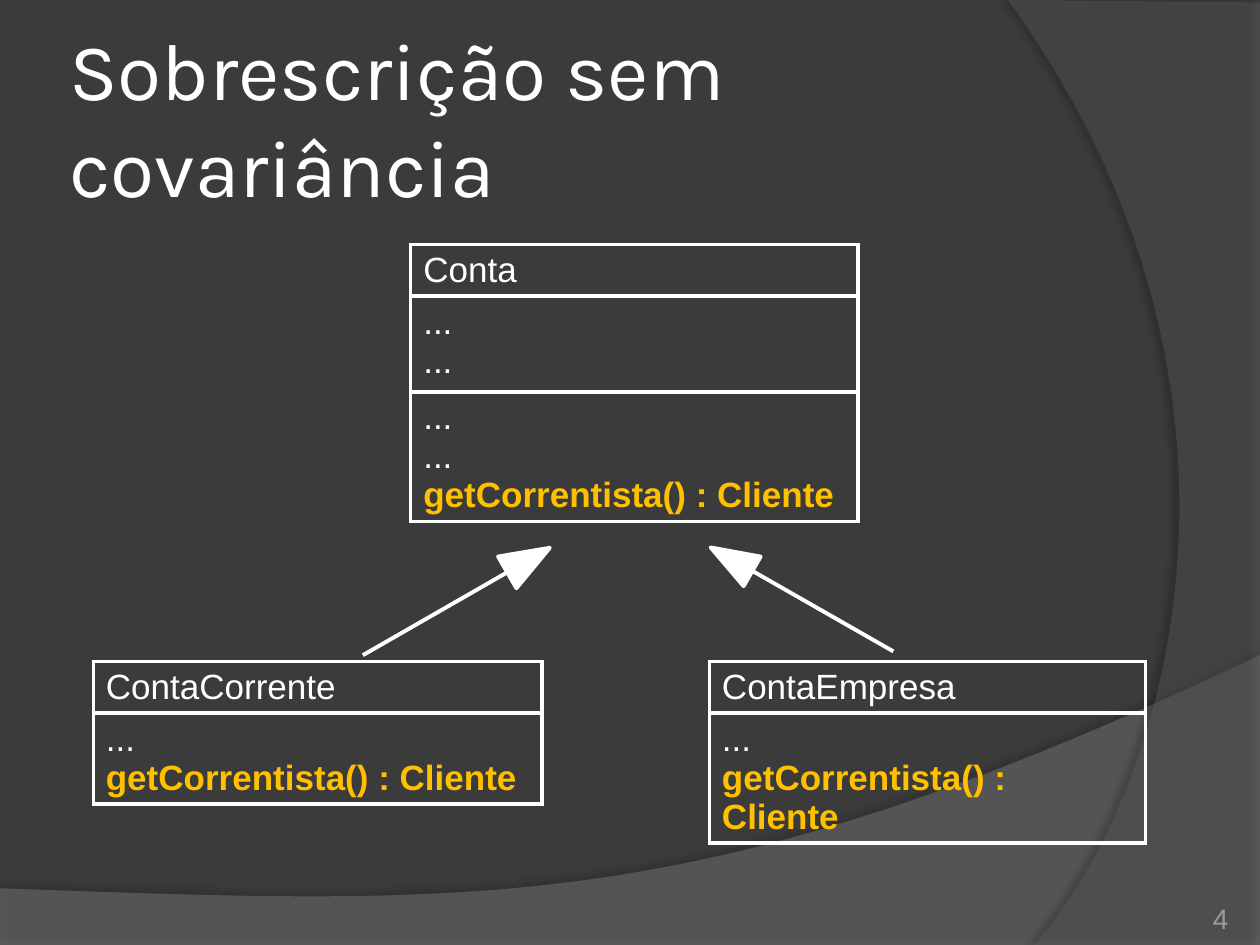
import pptx
import pptx.util
import pptx.dml.color
import pptx.enum.shapes
import pptx.enum.text
import pptx.oxml
import pptx.oxml.ns
from lxml import etree

Inches, Pt = pptx.util.Inches, pptx.util.Pt
ALIGN, ANCHOR = pptx.enum.text.PP_ALIGN, pptx.enum.text.MSO_ANCHOR
COLORS = {"bg": "3B3B3B", "text": "FFFFFF", "accent": "FFC000",
          "number": "9D9B9A", "wave": "7F7F7F", "side": "5E5E5E"}

TITLE = "Sobrescrição sem covariância"
NUMBER = "4"
METHOD = "getCorrentista() : Cliente"
CLASSES = [
    {"at": (3.26, 1.94), "width": 3.55, "rows": [
        (0.41, ["Conta"]), (0.76, ["...", "..."]), (1.03, ["...", "...", METHOD])]},
    {"at": (5.63, 5.25), "width": 3.46, "rows": [
        (0.41, ["ContaEmpresa"]), (0.72, ["...", METHOD])]},
    {"at": (0.74, 5.25), "width": 3.56, "rows": [
        (0.41, ["ContaCorrente"]), (0.72, ["...", METHOD])]},
]
ARROWS = [
    {"head": (5.67, 4.25, 0.27, 0.38), "rotation": 300, "line": (5.97, 4.53, 7.09, 5.17)},
    {"head": (4.05, 4.25, 0.29, 0.39), "rotation": 60, "line": (4.03, 4.54, 2.88, 5.2)},
]
BACKDROP = [
    {"before": [(0, 7.05), (0, 7.5), (10, 7.5)],
     "curve": [(10, 5.2), (5.59, 7.29), (3.91, 7.19), (0, 7.05)],
     "color": "wave", "alpha": 45, "shadow": (35, 4, 3.5, 270)},
    {"before": [(10, 0.02), (10, 7.5)],
     "curve": [(8.21, 7.5), (9.35, 6.19), (10.18, 3), (8, 0)],
     "color": "side", "alpha": 40, "shadow": (45, 4, 4, 180)},
]


def rgb(name):
    return pptx.dml.color.RGBColor.from_string(COLORS[name])


def write(tf, lines, size=20, font="Arial", color="text", align=ALIGN.LEFT):
    p = tf.paragraphs[0]
    p.alignment = align
    for i, line in enumerate(lines):
        if i:
            p.add_line_break()
        r = p.add_run()
        r.text = line
        r.font.size, r.font.name = Pt(size), font
        r.font.bold = line == METHOD
        r.font.color.rgb = rgb("accent" if line == METHOD else color)


def set_margins(tf, inset):
    tf.margin_left = tf.margin_right = tf.margin_top = tf.margin_bottom = Inches(inset)


def bezier(points, steps=60):
    for i in range(steps + 1):
        t = i / steps
        weights = ((1 - t) ** 3, 3 * t * (1 - t) ** 2, 3 * t * t * (1 - t), t ** 3)
        yield tuple(sum(w * pt[axis] for w, pt in zip(weights, points)) for axis in (0, 1))


def add_backdrop(s, item):
    points = [(Inches(x), Inches(y)) for x, y in item["before"] + list(bezier(item["curve"]))]
    builder = s.shapes.build_freeform(*points[0])
    builder.add_line_segments(points[1:], close=True)
    sp = builder.convert_to_shape()
    sp.shadow.inherit = False
    sp.fill.solid()
    sp.fill.fore_color.rgb = rgb(item["color"])
    sp.line.fill.background()
    qn = pptx.oxml.ns.qn
    color = sp._element.spPr.find(qn("a:solidFill"))[0]
    etree.SubElement(color, qn("a:alpha"), val=str(item["alpha"] * 1000))
    alpha, blur, dist, angle = item["shadow"]
    effects = sp._element.spPr.find(qn("a:effectLst"))
    shadow = etree.SubElement(effects, qn("a:outerShdw"), blurRad=str(Pt(blur)),
                              dist=str(Pt(dist)), dir=str(angle * 60000),
                              algn="ctr", rotWithShape="0")
    black = etree.SubElement(shadow, qn("a:srgbClr"), val="000000")
    etree.SubElement(black, qn("a:alpha"), val=str(alpha * 1000))


def set_borders(cell):
    tc_pr = cell._tc.get_or_add_tcPr()
    for i, side in enumerate(("lnL", "lnR", "lnT", "lnB")):
        tc_pr.insert(i, pptx.oxml.parse_xml(
            f'<a:{side} {pptx.oxml.ns.nsdecls("a")} w="{Pt(2.25)}"><a:solidFill>'
            f'<a:srgbClr val="{COLORS["text"]}"/></a:solidFill></a:{side}>'))


def add_class(s, item):
    rows = item["rows"]
    height = sum(h for h, _ in rows)
    left, top = item["at"]
    table = s.shapes.add_table(len(rows), 1, Inches(left), Inches(top),
                               Inches(item["width"]), Inches(height)).table
    table.first_row = table.horz_banding = False
    for i, (h, lines) in enumerate(rows):
        table.rows[i].height = Inches(h)
        cell = table.cell(i, 0)
        cell.fill.background()
        set_borders(cell)
        write(cell.text_frame, lines)


def add_arrow(s, item):
    group = s.shapes.add_group_shape()
    head = group.shapes.add_shape(pptx.enum.shapes.MSO_SHAPE.ISOSCELES_TRIANGLE,
                                  *map(Inches, item["head"]))
    head.rotation = item["rotation"]
    head.shadow.inherit = False
    head.fill.solid()
    head.fill.fore_color.rgb = rgb("text")
    shaft = group.shapes.add_connector(pptx.enum.shapes.MSO_CONNECTOR.STRAIGHT,
                                       *map(Inches, item["line"]))
    etree.SubElement(shaft._element.spPr, pptx.oxml.ns.qn("a:effectLst"))
    for sp in (head, shaft):
        sp.line.color.rgb = rgb("text")
        sp.line.width = Pt(2.25)


def main():
    prs = pptx.Presentation()
    prs.slide_width, prs.slide_height = Inches(10), Inches(7.5)
    s = prs.slides.add_slide(prs.slide_layouts[5])
    s.background.fill.solid()
    s.background.fill.fore_color.rgb = rgb("bg")
    for item in BACKDROP:
        add_backdrop(s, item)

    title = s.shapes.title
    title.left, title.top, title.width, title.height = map(Inches, (0.5, 0.3, 8.17, 1.25))
    tf = title.text_frame
    set_margins(tf, 0.05)
    tf.word_wrap = True
    tf.auto_size = pptx.enum.text.MSO_AUTO_SIZE.NONE
    tf.vertical_anchor = ANCHOR.MIDDLE
    write(tf, [TITLE], size=46, font="Karla")

    for item in CLASSES:
        add_class(s, item)
    for item in ARROWS:
        add_arrow(s, item)

    tf = s.shapes.add_textbox(*map(Inches, (8.92, 7.02, 0.83, 0.4))).text_frame
    set_margins(tf, 0)
    tf.word_wrap = True
    tf.vertical_anchor = ANCHOR.BOTTOM
    write(tf, [NUMBER], size=16, color="number", align=ALIGN.RIGHT)
    prs.save("out.pptx")


if __name__ == "__main__":
    main()
